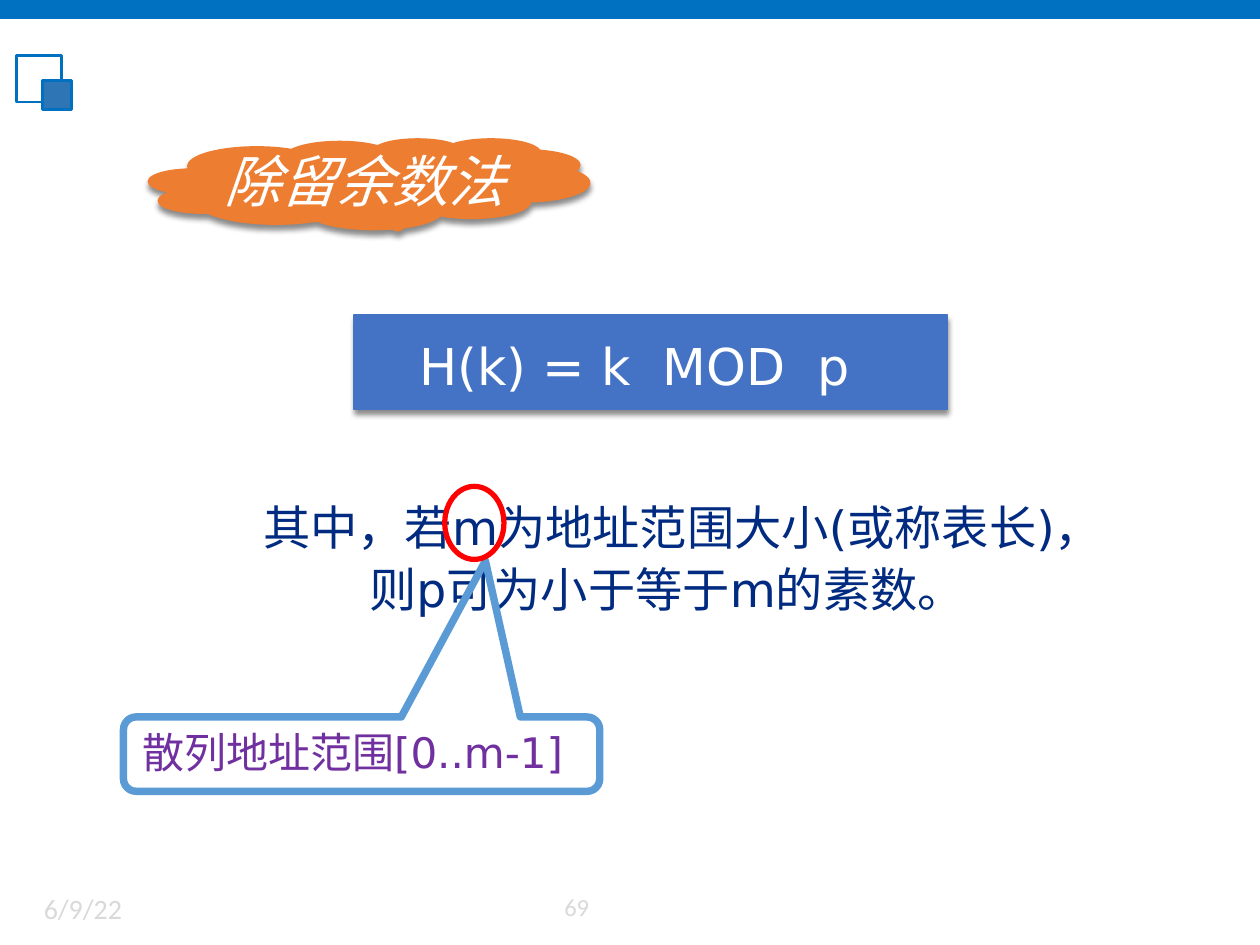
"""Build the slide on the division-remainder hashing method."""
from lxml import etree
from pptx import Presentation
from pptx.dml import color
from pptx.enum import shapes, text
from pptx.oxml import ns
from pptx.util import Inches, Pt


def rgb(value):
    """Turn a hex string into a colour."""
    return color.RGBColor.from_string(value)


class Painter:
    """Hold the style and the current slide."""
    LATIN, CJK = "DejaVu Sans", "Noto Sans CJK SC"
    BLUE, GREY = "0070C0", "D9D9D9"

    def __init__(self, slide):
        """Start on the given slide."""
        self.slide = slide

    def shape(self, kind, box, fill=None, line=None, width=0.79, adjust=(), shadow=False):
        """Add a preset shape."""
        item = self.slide.shapes.add_shape(kind, *map(Inches, box))
        for index, value in enumerate(adjust):
            item.adjustments[index] = value
        for paint, value in ((item.fill, fill), (item.line.fill, line)):
            if value:
                paint.solid()
                paint.fore_color.rgb = rgb(value)
            else:
                paint.background()
        if line:
            item.line.width = Pt(width)
        item.shadow.inherit = False
        if shadow:
            self.cast_shadow(item)

    def cast_shadow(self, item):
        """Give a shape a soft shadow below it."""
        effects = item.element.spPr.find(ns.qn("a:effectLst"))
        outer = etree.SubElement(effects, ns.qn("a:outerShdw"), blurRad=str(Pt(3)),
                                 dist=str(Pt(2.4)), dir="5400000", rotWithShape="0")
        black = etree.SubElement(outer, ns.qn("a:srgbClr"), val="000000")
        etree.SubElement(black, ns.qn("a:alpha"), val="45000")

    def set_text(self, holder, lines, size, ink, font=LATIN, italic=None, spacing=1.0,
                 indents=(0,)):
        """Fill a holder with lines in one style."""
        frame = holder.text_frame
        frame.word_wrap = True
        frame.auto_size = text.MSO_AUTO_SIZE.NONE
        frame.vertical_anchor = text.MSO_ANCHOR.TOP
        frame.text = "\n".join(lines)
        for paragraph, indent in zip(frame.paragraphs, indents):
            paragraph.alignment = text.PP_ALIGN.LEFT
            paragraph.line_spacing = spacing
            paragraph.font.name = font
            paragraph.font.size = Pt(size)
            paragraph.font.italic = italic
            paragraph.font.color.rgb = rgb(ink)
            properties = paragraph._p.pPr
            properties.set("marL", str(Inches(indent)))
            properties.set("indent", "0")
            etree.SubElement(properties.find(ns.qn("a:defRPr")), ns.qn("a:ea"), typeface=self.CJK)

    def label(self, box, lines, size, ink, **style):
        """Add a text box."""
        self.set_text(self.slide.shapes.add_textbox(*map(Inches, box)), lines, size, ink, **style)

    def title(self, box, words, size, ink, **style):
        """Place the title in front of what is drawn so far."""
        title = self.slide.shapes.title
        title.left, title.top, title.width, title.height = map(Inches, box)
        self.set_text(title, [words], size, ink, **style)
        self.slide.shapes.element.append(title.element)


def main():
    """Draw the slide and save it."""
    deck = Presentation()
    deck.slide_width, deck.slide_height = Inches(10), Inches(7.5)
    painter = Painter(deck.slides.add_slide(deck.slide_layouts[5]))
    preset = shapes.MSO_SHAPE

    painter.shape(preset.RECTANGLE, (0, 0, 10, 0.15), fill=painter.BLUE)
    painter.shape(preset.RECTANGLE, (0.13, 0.44, 0.36, 0.37), line=painter.BLUE, width=1.5)
    painter.shape(preset.RECTANGLE, (0.34, 0.64, 0.23, 0.23), "2E75B6", painter.BLUE, 1.5)
    painter.label((0.25, 7.03, 1.84, 0.4), ["6/9/22"], 16, painter.GREY, font="Calibri")
    painter.label((4.38, 7.03, 0.62, 0.38), ["69"], 14, painter.GREY, font="Calibri")

    painter.shape(preset.RECTANGLE, (2.81, 2.5, 4.71, 0.75), "4472C4", "4472C4", shadow=True)
    painter.label((3.23, 2.61, 4.08, 0.58), ["H(k) = k  MOD  p"], 29, "FFFFFF")
    painter.label((1.99, 3.86, 7.42, 1.09),
                  ["其中，若m为地址范围大小(或称表长)，", "则p可为小于等于m的素数。"],
                  27, "002B80", spacing=1.1, indents=(0, 0.84))

    painter.shape(preset.CLOUD_CALLOUT, (1.18, 1.1, 3.5, 0.72), "ED7D31", "ED7D31",
                  adjust=(0.04, 0.27), shadow=True)
    painter.title((1.68, 1.11, 3.08, 0.63), "除留余数法", 32, "FFFFFF",
                  font=painter.CJK, italic=True)

    painter.shape(preset.ROUNDED_RECTANGULAR_CALLOUT, (0.98, 5.69, 3.78, 0.59),
                  line="5B9BD5", width=4.25, adjust=(0.26, -2.6, 0.17))
    painter.label((1.03, 5.72, 3.86, 0.51), ["散列地址范围[0..m-1]"], 24, "7030A0")
    painter.shape(preset.OVAL, (3.53, 3.86, 0.47, 0.58), line="FF0000", width=3)

    deck.save("out.pptx")


if __name__ == "__main__":
    main()
